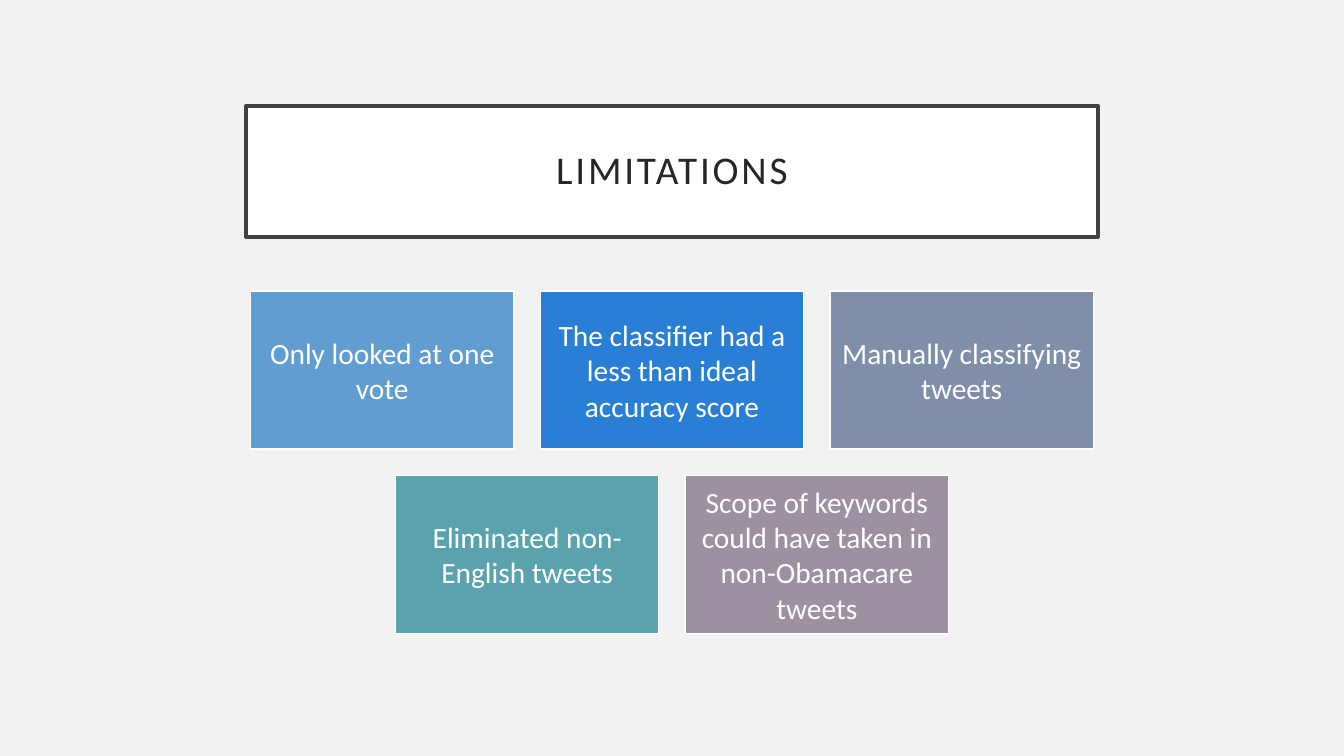
from dataclasses import dataclass
from pptx import Presentation
from pptx.dml.color import RGBColor as RGB
from pptx.enum.shapes import MSO_SHAPE as Shape
from pptx.enum.text import MSO_ANCHOR as Anchor, MSO_AUTO_SIZE as Fit, PP_ALIGN as Align
from pptx.util import Pt


@dataclass(frozen=True)
class Theme:
    """Colours, font and type sizes of the slide."""
    font: str = "Calibri"
    back: str = "F2F2F2"
    white: str = "FFFFFF"
    frame: str = "404040"
    ink: str = "262626"
    tiles: tuple = ("629DD1", "297FD5", "7F8FA9", "5AA2AE", "9D90A0")
    head: int = 28
    body: int = 21


THEME = Theme()
LIMITS = (
    "Only looked at one vote",
    "The classifier had a less than ideal accuracy score",
    "Manually classifying tweets",
    "Eliminated non-English tweets",
    "Scope of keywords could have taken in non-Obamacare tweets",
)


def paint(shape, fill, line, width):
    """Give a shape a solid fill and an outline."""
    shape.fill.solid()
    shape.fill.fore_color.rgb = RGB.from_string(fill)
    shape.line.color.rgb = RGB.from_string(line)
    shape.line.width = Pt(width)


def write(shape, text, size, color, inset):
    """Set centred text in a shape and return its paragraph."""
    frame = shape.text_frame
    frame.word_wrap = True
    frame.auto_size = Fit.NONE
    frame.vertical_anchor = Anchor.MIDDLE
    frame.margin_left = frame.margin_right = Pt(inset)
    frame.margin_top = frame.margin_bottom = Pt(inset)
    frame.text = text
    para = frame.paragraphs[0]
    para.alignment = Align.CENTER
    para.font.name = THEME.font
    para.font.size = Pt(size)
    para.font.color.rgb = RGB.from_string(color)
    return para


def add_title(slide, box, text):
    """Place the framed title in the box."""
    title = slide.shapes.title
    title.left, title.top, title.width, title.height = map(Pt, box)
    paint(title, THEME.white, THEME.frame, 2.5)
    para = write(title, text, THEME.head, THEME.ink, 14.4)
    para.line_spacing = 0.9
    para.runs[0].font._element.set("spc", "200")


def add_tiles(slide, box, texts, cols=3):
    """Fill the box with rows of tiles, each row centred."""
    left, top, width = box
    wide = width / (cols + 0.1 * (cols - 1))
    high, gap = 0.6 * wide, 0.1 * wide
    for i, (text, color) in enumerate(zip(texts, THEME.tiles)):
        row, col = divmod(i, cols)
        count = min(cols, len(texts) - row * cols)
        start = left + (cols - count) * (wide + gap) / 2
        tile = slide.shapes.add_shape(
            Shape.RECTANGLE, Pt(start + col * (wide + gap)),
            Pt(top + row * (high + gap)), Pt(wide), Pt(high))
        tile.shadow.inherit = False
        paint(tile, color, THEME.white, 1)
        write(tile, text, THEME.body, THEME.white, 6.3)


def main():
    """Build and save the slide."""
    deck = Presentation()
    deck.slide_width, deck.slide_height = Pt(960), Pt(540)
    slide = deck.slides.add_slide(deck.slide_layouts[5])
    back = slide.background.fill
    back.solid()
    back.fore_color.rgb = RGB.from_string(THEME.back)
    add_title(slide, (175.7, 75.6, 608.6, 93.6), "LIMITATIONS")
    add_tiles(slide, (179, 208, 602), LIMITS)
    deck.save("out.pptx")


main()
